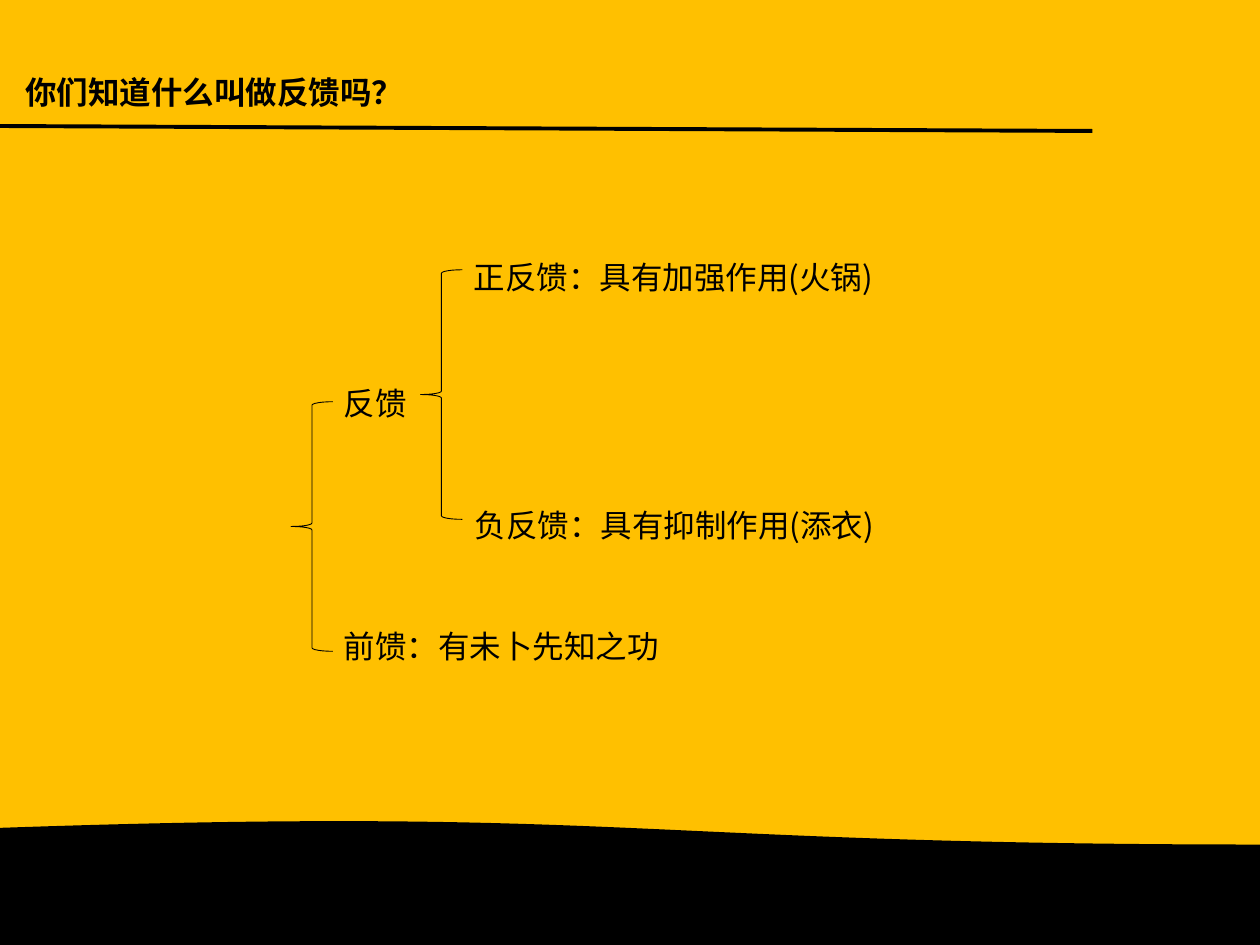
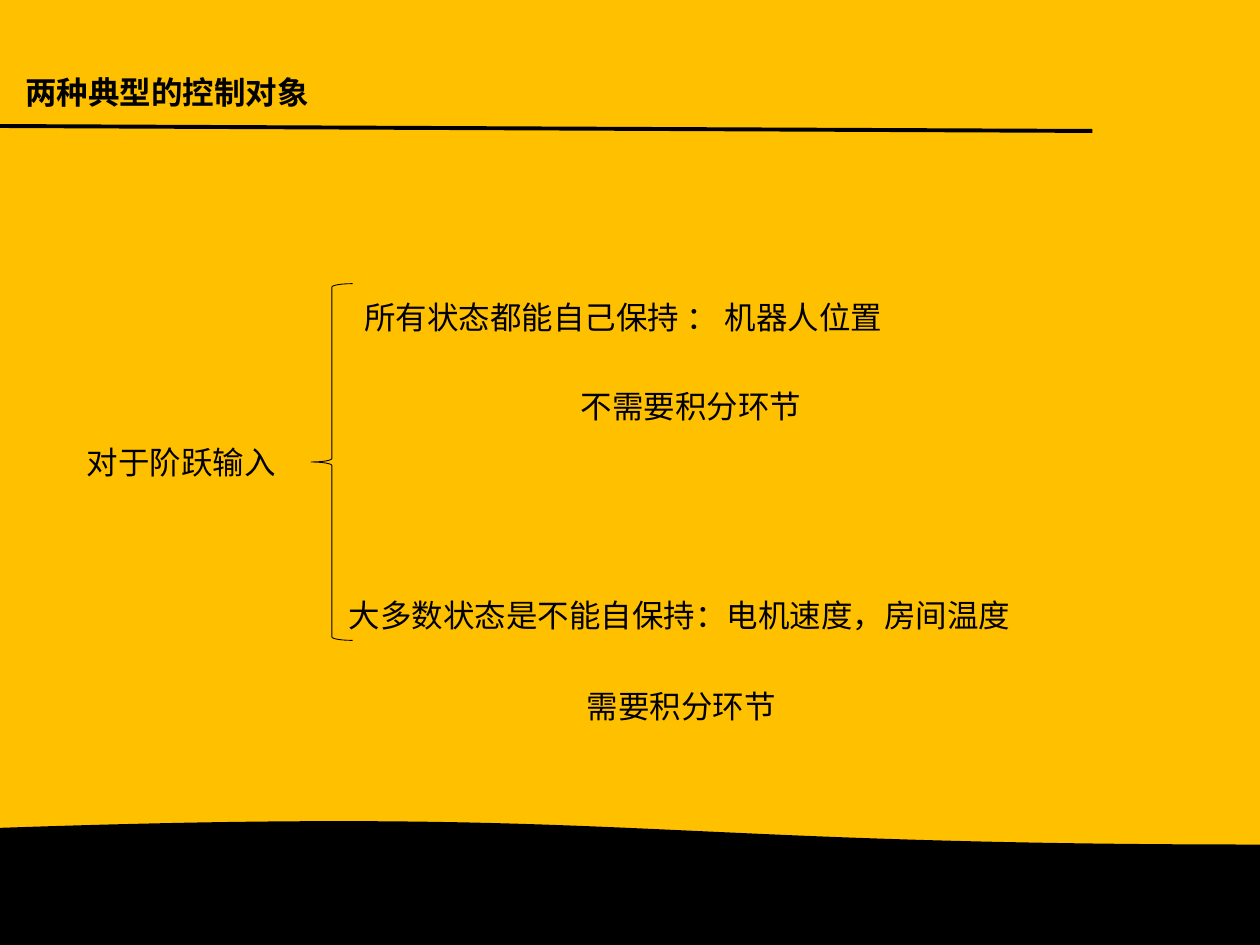
from dataclasses import dataclass

from lxml import etree
from pptx import Presentation
from pptx import util as u
from pptx.dml.color import RGBColor
from pptx.enum import shapes, text
from pptx.oxml.ns import qn


@dataclass(frozen=True)
class Theme:
    back: RGBColor = RGBColor(0xFF, 0xC0, 0x00)
    ink: RGBColor = RGBColor(0, 0, 0)
    font: str = "Noto Sans CJK SC"
    size: u.Pt = u.Pt(18)
    edge: u.Pt = u.Pt(1)
    rule: u.Pt = u.Pt(2.25)
    brace: u.Pt = u.Pt(0.5)


THEME = Theme()


@dataclass(frozen=True)
class Label:
    """A line of text; lengths in centimetres."""
    words: str
    left: float
    top: float
    width: float
    height: float = 1.02
    wrap: bool = False


@dataclass(frozen=True)
class Brace:
    """A left brace; lengths in centimetres."""
    left: float
    top: float
    height: float
    width: float = 0.84


@dataclass(frozen=True)
class Page:
    title: str
    labels: tuple[Label, ...]
    braces: tuple[Brace, ...]


PAGES = (
    Page(
        "你们知道什么叫做反馈吗？",
        (
            Label("反馈", 6.68, 7.62, 1.8, 0.76),
            Label("正反馈：具有加强作用(火锅)", 9.3, 5.08, 8.64, 0.76, True),
            Label("负反馈：具有抑制作用(添衣)", 9.32, 10.08, 8.64, 0.76, True),
            Label("前馈：有未卜先知之功", 6.68, 12.52, 6.93),
        ),
        (Brace(8.48, 5.44, 5.03), Brace(5.87, 8.1, 5.03)),
    ),
    Page(
        "两种典型的控制对象",
        (
            Label("所有状态都能自己保持 ： 机器人位置", 7.09, 5.89, 11.15),
            Label("大多数状态是不能自保持：电机速度，房间温度", 6.78, 11.89, 13.97),
            Label("对于阶跃输入", 1.5, 8.81, 4.37),
            Label("不需要积分环节", 11.46, 7.67, 5),
            Label("需要积分环节", 11.58, 13.72, 4.37),
        ),
        (Brace(6.27, 5.72, 7.19),),
    ),
)


def apply(item, values: dict) -> None:
    for name, value in values.items():
        setattr(item, name, value)


def write(shape, label: Label, bold: bool = False) -> None:
    """Place a text shape, then fill and format it."""
    for side in ("left", "top", "width", "height"):
        setattr(shape, side, u.Cm(getattr(label, side)))
    frame = shape.text_frame
    frame.text = label.words
    apply(frame, {
        "word_wrap": label.wrap,
        "auto_size": text.MSO_AUTO_SIZE.SHAPE_TO_FIT_TEXT,
        "vertical_anchor": text.MSO_ANCHOR.TOP,
    })
    line = frame.paragraphs[0]
    line.alignment = text.PP_ALIGN.LEFT
    font = line.runs[0].font
    apply(font, {"name": THEME.font, "size": THEME.size, "bold": bold})
    font.color.rgb = THEME.ink
    latin = font._element.find(qn("a:latin"))
    east = etree.Element(qn("a:ea"), typeface=THEME.font)
    latin.addnext(east)


def stroke(shape, width: u.Pt) -> None:
    shape.line.color.rgb = THEME.ink
    shape.line.width = width


def add_frame(slide) -> None:
    """Draw the wavy foot band and the rule below the title."""
    band = slide.shapes.add_shape(
        shapes.MSO_SHAPE.FLOWCHART_DOCUMENT,
        u.Cm(0), u.Cm(16.54), u.Cm(25.43), u.Cm(2.54))
    band.shadow.inherit = False
    band.fill.solid()
    band.fill.fore_color.rgb = THEME.ink
    stroke(band, THEME.edge)
    band._element.spPr.get_or_add_xfrm().set("flipV", "1")

    rule = slide.shapes.add_connector(
        shapes.MSO_CONNECTOR.STRAIGHT,
        u.Cm(0), u.Cm(2.54), u.Cm(22.02), u.Cm(2.64))
    stroke(rule, THEME.rule)
    etree.SubElement(rule._element.spPr, qn("a:effectLst"))


def add_brace(group, brace: Brace) -> None:
    shape = group.shapes.add_shape(
        shapes.MSO_SHAPE.LEFT_BRACE, u.Cm(brace.left), u.Cm(brace.top),
        u.Cm(brace.width), u.Cm(brace.height))
    shape.shadow.inherit = False
    shape.fill.background()
    stroke(shape, THEME.brace)


def add_page(deck, page: Page) -> None:
    slide = deck.slides.add_slide(deck.slide_layouts[5])
    add_frame(slide)
    title = Label(page.title, 0.25, 1.35, 11.2, wrap=True)
    write(slide.shapes.title, title, bold=True)
    tree = slide.shapes.add_group_shape()
    for brace in page.braces:
        add_brace(tree, brace)
    for label in page.labels:
        write(tree.shapes.add_textbox(0, 0, 0, 0), label)
    # Refit the group, since its labels moved after they were added.
    tree._element.recalculate_extents()


def main() -> None:
    deck = Presentation()
    apply(deck, {"slide_width": u.Cm(25.4), "slide_height": u.Cm(19.05)})
    fill = deck.slide_master.background.fill
    fill.solid()
    fill.fore_color.rgb = THEME.back
    for page in PAGES:
        add_page(deck, page)
    deck.save("out.pptx")


if __name__ == "__main__":
    main()
